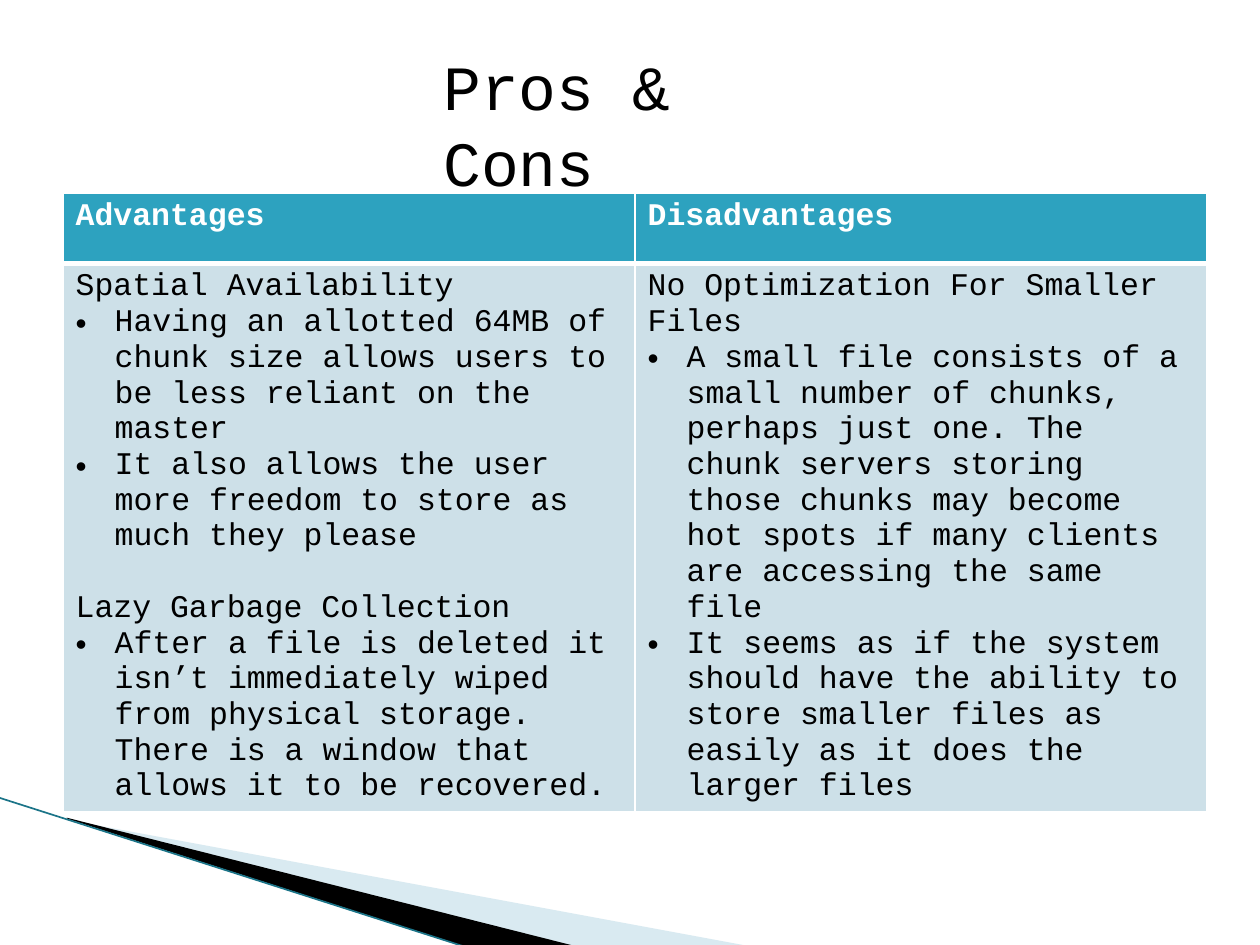
from dataclasses import dataclass

from lxml.etree import SubElement
from pptx import Presentation
from pptx.dml.color import RGBColor
from pptx.enum.shapes import MSO_CONNECTOR as Connector
from pptx.enum.text import MSO_AUTO_SIZE as AutoSize
from pptx.oxml.ns import qn
from pptx.util import Emu, Inches, Pt

COLORS = {
    "ink": "000000",
    "white": "FFFFFF",
    "header": "2DA2BF",
    "body": "CDE0E8",
    "wedge": "A0CBDC",
    "edge": "1B7488",
}
WIDTH, HEIGHT = Inches(10), Inches(7.5)
FONT = "Courier New"
INDENT = Inches(0.31)


@dataclass(frozen=True)
class Wedge:
    corners: tuple[tuple[float, float], ...]
    color: str
    opacity: int = 100


@dataclass(frozen=True)
class Line:
    text: str
    bullet: bool = False
    gap: float = 0


@dataclass(frozen=True)
class Column:
    heading: str
    lines: tuple[Line, ...]


WEDGES = (
    Wedge(((5.5, 86.8), (59.5, 100.13), (45.6, 100.13), (5.5, 86.67)), "wedge", 40),
    Wedge(((5.3, 86.53), (45.7, 100.13), (37.2, 100.27), (5.4, 86.67)), "ink"),
)
COLUMNS = (
    Column("Advantages", (
        Line("Spatial Availability"),
        Line("Having an allotted 64MB of chunk size allows users to be less "
             "reliant on the master", True),
        Line("It also allows the user more freedom to store as much they please", True),
        Line("Lazy Garbage Collection", gap=20.4),
        Line("After a file is deleted it isn’t immediately wiped from physical "
             "storage. There is a window that allows it to be recovered.", True),
    )),
    Column("Disadvantages", (
        Line("No Optimization For Smaller Files"),
        Line("A small file consists of a small number of chunks, perhaps just one. "
             "The chunk servers storing those chunks may become hot spots if many "
             "clients are accessing the same file", True),
        Line("It seems as if the system should have the ability to store smaller "
             "files as easily as it does the larger files", True),
    )),
)


def across(percent: float) -> Emu:
    return Emu(round(WIDTH * percent / 100))


def down(percent: float) -> Emu:
    return Emu(round(HEIGHT * percent / 100))


def rgb(name: str) -> RGBColor:
    return RGBColor.from_string(COLORS[name])


def apply(target, formats: dict) -> None:
    for attribute, value in formats.items():
        setattr(target, attribute, value)


def write(paragraph, text: str, size: float, color: str, bold: bool = False) -> None:
    run = paragraph.add_run()
    run.text = text
    apply(run.font, {"name": FONT, "size": Pt(size), "bold": bold})
    run.font.color.rgb = rgb(color)


def add_bullet(paragraph) -> None:
    properties = paragraph._p.get_or_add_pPr()
    properties.set("marL", str(INDENT))
    properties.set("indent", str(-INDENT))
    SubElement(properties, qn("a:buFont"), typeface="Arial")
    SubElement(properties, qn("a:buChar"), char="•")


def draw_wedge(slide, wedge: Wedge) -> None:
    start, *rest = [(across(x), down(y)) for x, y in wedge.corners]
    outline = slide.shapes.build_freeform(*start)
    outline.add_line_segments(rest, close=True)
    shape = outline.convert_to_shape()
    shape.shadow.inherit = False
    shape.line.fill.background()
    shape.fill.solid()
    shape.fill.fore_color.rgb = rgb(wedge.color)
    if wedge.opacity < 100:
        tint = shape._element.spPr.find(f".//{qn('a:srgbClr')}")
        SubElement(tint, qn("a:alpha"), val=str(wedge.opacity * 1000))


def draw_edge(slide) -> None:
    edge = slide.shapes.add_connector(
        Connector.STRAIGHT, across(-0.1), down(84.4), across(37.1), down(100.27))
    edge.line.width = Pt(0.95)
    edge.line.color.rgb = rgb("edge")
    SubElement(edge._element.spPr, qn("a:effectLst"))


def style_cell(cell, color: str, bottom: float) -> None:
    properties = cell._tc.get_or_add_tcPr()
    for side, width in {"L": 1, "R": 1, "T": 1, "B": bottom}.items():
        border = SubElement(properties, qn(f"a:ln{side}"), w=str(Pt(width)))
        paint = SubElement(border, qn("a:solidFill"))
        SubElement(paint, qn("a:srgbClr"), val=COLORS["white"])
    cell.fill.solid()
    cell.fill.fore_color.rgb = rgb(color)


def draw_comparison(slide, columns: tuple[Column, ...]) -> None:
    table = slide.shapes.add_table(
        2, len(columns), across(5), down(20.4), across(90.8), down(46.13)).table
    for row, share in zip(table.rows, (7.47, 38.67)):
        row.height = down(share)
    for index, column in enumerate(columns):
        heading, body = table.cell(0, index), table.cell(1, index)
        style_cell(heading, "header", 3)
        style_cell(body, "body", 1)
        write(heading.text_frame.paragraphs[0], column.heading, 18, "white", True)
        for number, line in enumerate(column.lines):
            frame = body.text_frame
            paragraph = frame.add_paragraph() if number else frame.paragraphs[0]
            if line.gap:
                paragraph.space_before = Pt(line.gap)
            if line.bullet:
                add_bullet(paragraph)
            write(paragraph, line.text, 18, "ink")


def draw_title(slide, text: str) -> None:
    title = slide.shapes.add_textbox(across(34.2), down(4.4), across(34.2), down(9.47))
    frame = title.text_frame
    apply(frame, {"word_wrap": True, "auto_size": AutoSize.SHAPE_TO_FIT_TEXT})
    write(frame.paragraphs[0], text, 36, "ink")


def main() -> None:
    deck = Presentation()
    apply(deck, {"slide_width": WIDTH, "slide_height": HEIGHT})
    slide = deck.slides.add_slide(deck.slide_layouts[6])
    for wedge in WEDGES:
        draw_wedge(slide, wedge)
    draw_edge(slide)
    draw_comparison(slide, COLUMNS)
    draw_title(slide, "Pros & Cons")
    deck.save("out.pptx")


if __name__ == "__main__":
    main()
